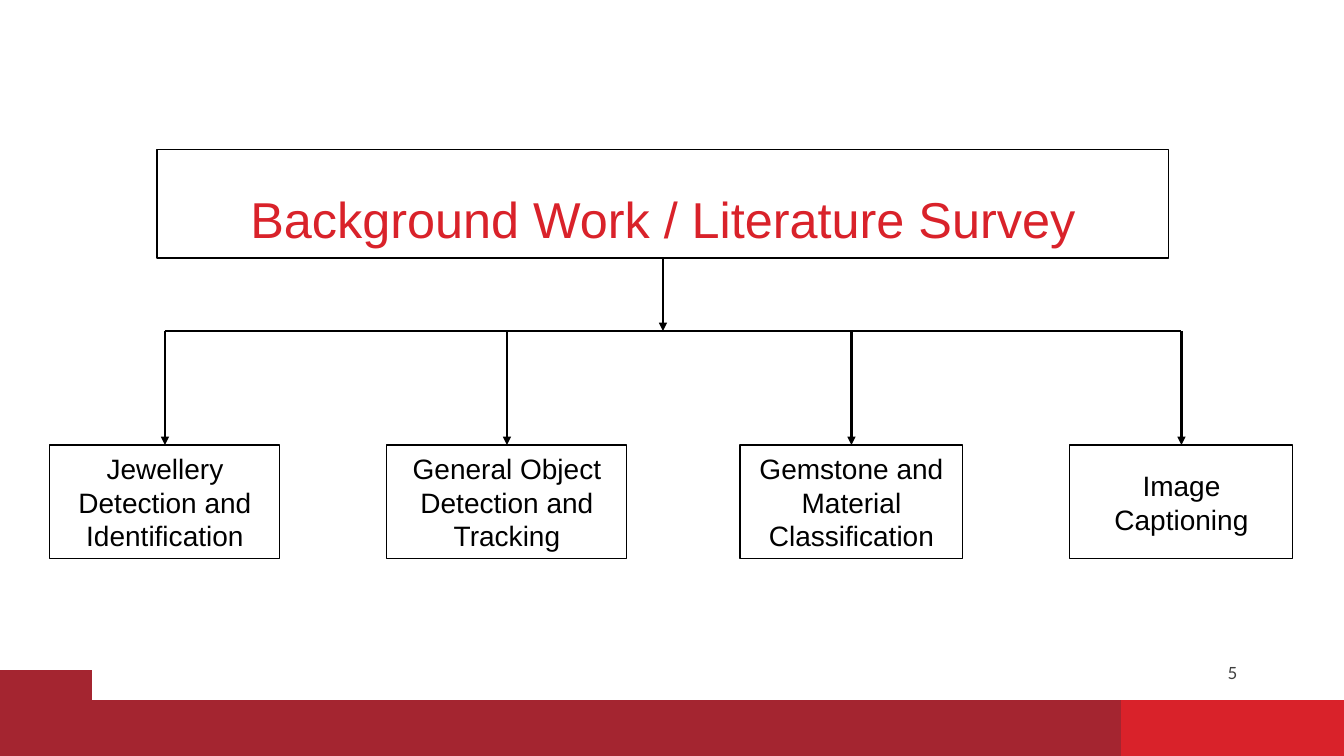
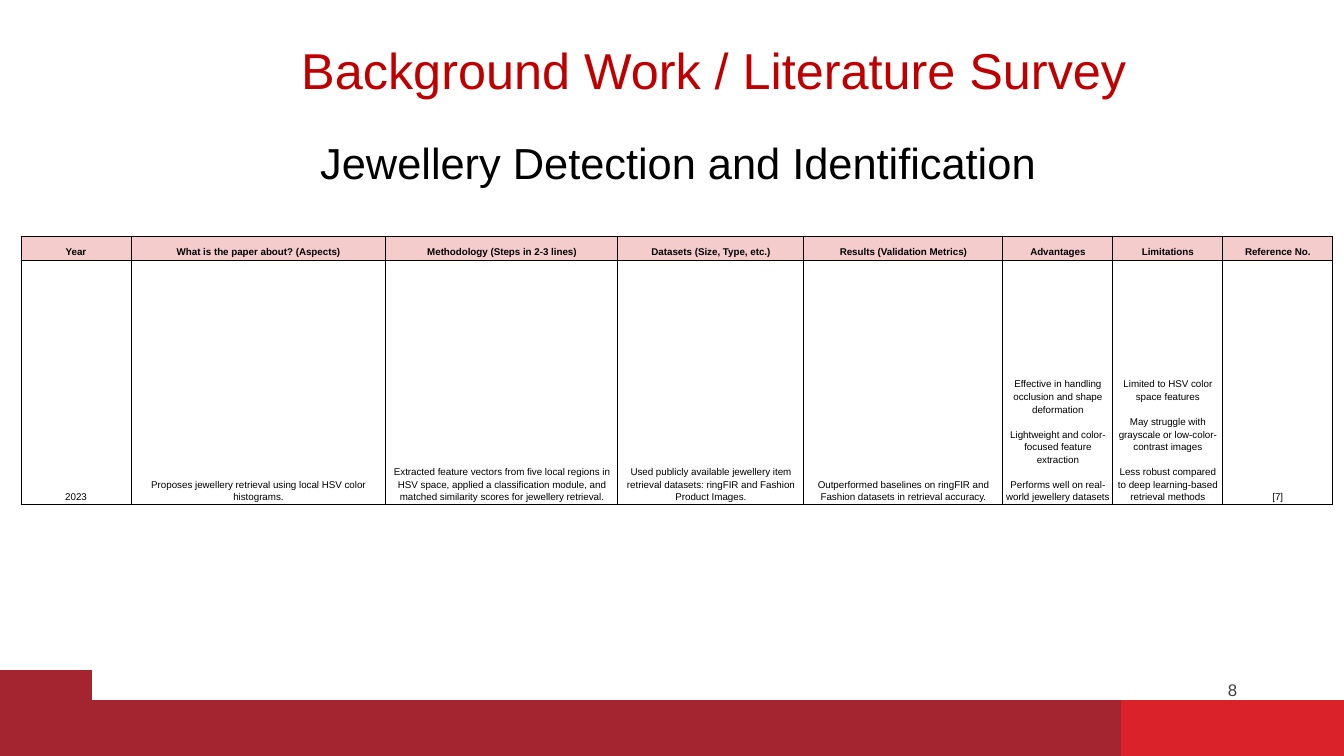
"""Build two literature survey slides: a topic tree and a paper table."""
from dataclasses import dataclass

import pptx
import pptx.dml.color
import pptx.enum.shapes
import pptx.enum.text
import pptx.oxml
import pptx.oxml.ns
import pptx.util


@dataclass(frozen=True)
class Theme:
    """Colours, fonts and type sizes shared by the slides."""
    white: str = "FFFFFF"
    ink: str = "000000"
    grey: str = "3F3F3F"
    crimson: str = "A42530"
    red: str = "D9222A"
    title_red: str = "C00000"
    blush: str = "F4CCCC"
    font: str = "Arial"
    number_font: str = "Lato"
    title: int = 36
    subtitle: int = 31
    topic: int = 20
    number: int = 12
    cell: int = 7
    outline: float = 0.75
    rule: float = 1.5


THEME = Theme()
SLIDE = (1344, 756)
EMU_PER_PX = pptx.util.Inches(1) / 100.8
TITLE = "Background Work / Literature Survey"
TOPICS = [
    (50, 230, "Jewellery Detection and Identification"),
    (387, 240, "General Object Detection and Tracking"),
    (740, 223, "Gemstone and Material Classification"),
    (1070, 223, "Image Captioning"),
]
COLUMNS = [
    (110, "Year", ["2023"]),
    (255, "What is the paper about? (Aspects)",
     ["Proposes jewellery retrieval using local HSV color histograms."]),
    (232, "Methodology (Steps in 2-3 lines)",
     ["Extracted feature vectors from five local regions in HSV space, applied a "
      "classification module, and matched similarity scores for jewellery retrieval."]),
    (186, "Datasets (Size, Type, etc.)",
     ["Used publicly available jewellery item retrieval datasets: ringFIR and "
      "Fashion Product Images."]),
    (199, "Results (Validation Metrics)",
     ["Outperformed baselines on ringFIR and Fashion datasets in retrieval accuracy."]),
    (110, "Advantages",
     ["Effective in handling occlusion and shape deformation",
      "Lightweight and color-focused feature extraction",
      "Performs well on real-world jewellery datasets"]),
    (110, "Limitations",
     ["Limited to HSV color space features",
      "May struggle with grayscale or low-color-contrast images",
      "Less robust compared to deep learning-based retrieval methods"]),
    (110, "Reference No.", ["[7]"]),
]


def px(length):
    """Turn pixels into EMU."""
    return round(length * EMU_PER_PX)


def rgb(colour):
    """Turn a hex string into a colour."""
    return pptx.dml.color.RGBColor.from_string(colour)


def style_para(para, size, colour=THEME.ink, font=THEME.font, bold=False, spacing=1.0):
    """Centre a paragraph and format its runs."""
    para.alignment = pptx.enum.text.PP_ALIGN.CENTER
    para.line_spacing = spacing
    for span in para.runs:
        span.font.name = font
        span.font.size = pptx.util.Pt(size)
        span.font.bold = bold
        span.font.color.rgb = rgb(colour)


def add_rect(page, box, fill=None, line=None):
    """Add a plain rectangle."""
    rect = page.shapes.add_shape(
        pptx.enum.shapes.MSO_SHAPE.RECTANGLE, *map(px, box))
    rect.shadow.inherit = False
    if fill:
        rect.fill.solid()
        rect.fill.fore_color.rgb = rgb(fill)
    else:
        rect.fill.background()
    if line:
        rect.line.color.rgb = rgb(line)
        rect.line.width = pptx.util.Pt(THEME.outline)
    else:
        rect.line.fill.background()
    return rect


def set_text(shape, text, size, **style):
    """Write one centred paragraph into a shape."""
    frame = shape.text_frame
    frame.word_wrap = True
    frame.vertical_anchor = pptx.enum.text.MSO_ANCHOR.MIDDLE
    frame.text = text
    style_para(frame.paragraphs[0], size, **style)


def add_label(page, box, text, size, **style):
    """Add a text box with one centred paragraph."""
    set_text(page.shapes.add_textbox(*map(px, box)), text, size, **style)


def add_rule(page, start, end, arrow=False):
    """Add a straight line, with an arrowhead at its end if asked."""
    rule = page.shapes.add_connector(
        pptx.enum.shapes.MSO_CONNECTOR.STRAIGHT, *map(px, start + end))
    rule.line.color.rgb = rgb(THEME.ink)
    rule.line.width = pptx.util.Pt(THEME.rule)
    properties = rule.element.spPr
    if arrow:
        head = pptx.oxml.parse_xml(
            f'<a:tailEnd {pptx.oxml.ns.nsdecls("a")} type="triangle"/>')
        properties.find(pptx.oxml.ns.qn("a:ln")).append(head)
    properties.append(pptx.oxml.parse_xml(
        f'<a:effectLst {pptx.oxml.ns.nsdecls("a")}/>'))


def add_footer(page, number, number_top, number_font):
    """Draw the bottom bands and the page number."""
    width, height = SLIDE
    corner, accent, band_top = 92, 1121, 700
    for left, top, right, colour in (
            (0, 670, corner, THEME.crimson),
            (accent, band_top, width, THEME.red),
            (corner, band_top, accent, THEME.crimson)):
        add_rect(page, (left, top, right - left, height - top), fill=colour)
    add_label(page, (accent, number_top, width - accent, 54), number,
              THEME.number, colour=THEME.grey, font=number_font)


def add_tree(page, box):
    """Draw the titled root, the branches and the topic boxes."""
    left, top, width, height = box
    root = (left + 107, top, 1012, 109)
    middle, root_bottom = root[0] + root[2] / 2, top + root[3]
    bar, topic_height = top + 182, 114
    topic_top = top + height - topic_height
    set_text(add_rect(page, root, line=THEME.ink), TITLE, THEME.title,
             colour=THEME.red, spacing=1.5)
    add_rule(page, (middle, root_bottom), (middle, bar), arrow=True)
    centres = []
    for topic_left, topic_width, topic in TOPICS:
        centre = topic_left + topic_width / 2
        centres.append(centre)
        topic_box = (topic_left, topic_top, topic_width, topic_height)
        set_text(add_rect(page, topic_box, line=THEME.ink), topic, THEME.topic)
        add_rule(page, (centre, bar), (centre, topic_top), arrow=True)
    add_rule(page, (centres[0], bar), (centres[-1], bar))


def fill_cell(cell, lines, fill, bold):
    """Border, colour and write one table cell."""
    properties = cell._tc.get_or_add_tcPr()
    for side in "LRTB":
        properties.append(pptx.oxml.parse_xml(
            f'<a:ln{side} {pptx.oxml.ns.nsdecls("a")} w="{pptx.util.Pt(THEME.outline)}">'
            f'<a:solidFill><a:srgbClr val="{THEME.ink}"/></a:solidFill></a:ln{side}>'))
    cell.fill.solid()
    cell.fill.fore_color.rgb = rgb(fill)
    cell.vertical_anchor = pptx.enum.text.MSO_ANCHOR.BOTTOM
    cell.margin_left = cell.margin_right = px(3)
    cell.margin_top = cell.margin_bottom = px(2)
    cell.text_frame.text = "\n".join(lines)
    for index, para in enumerate(cell.text_frame.paragraphs):
        style_para(para, THEME.cell, bold=bold, spacing=1.15)
        if index:
            para.space_before = pptx.util.Pt(9)


def add_papers(page, box):
    """Draw the table of surveyed papers."""
    header_height = 24
    table = page.shapes.add_table(2, len(COLUMNS), *map(px, box)).table
    table.first_row = table.horz_banding = False
    table.rows[0].height = px(header_height)
    table.rows[1].height = px(box[3] - header_height)
    for index, (width, heading, lines) in enumerate(COLUMNS):
        table.columns[index].width = px(width)
        fill_cell(table.cell(0, index), [heading], THEME.blush, True)
        fill_cell(table.cell(1, index), lines, THEME.white, False)


def add_page(deck):
    """Add a blank slide."""
    return deck.slides.add_slide(deck.slide_layouts[6])


def build_tree_slide(deck):
    """Build the slide with the topic tree."""
    page = add_page(deck)
    add_footer(page, "5", 646, THEME.number_font)
    add_tree(page, (50, 149, 1243, 410))


def build_table_slide(deck):
    """Build the slide with the paper table."""
    page = add_page(deck)
    add_footer(page, "8", 663, THEME.font)
    add_label(page, (275, 28, 878, 91), TITLE, THEME.title,
              colour=THEME.title_red, spacing=0.9)
    add_label(page, (252, 143, 852, 39), TOPICS[0][2], THEME.subtitle)
    add_papers(page, (21, 236, sum(column[0] for column in COLUMNS), 269))


def main():
    """Build and save the deck."""
    deck = pptx.Presentation()
    deck.slide_width, deck.slide_height = map(px, SLIDE)
    build_tree_slide(deck)
    build_table_slide(deck)
    deck.save("out.pptx")


if __name__ == "__main__":
    main()
